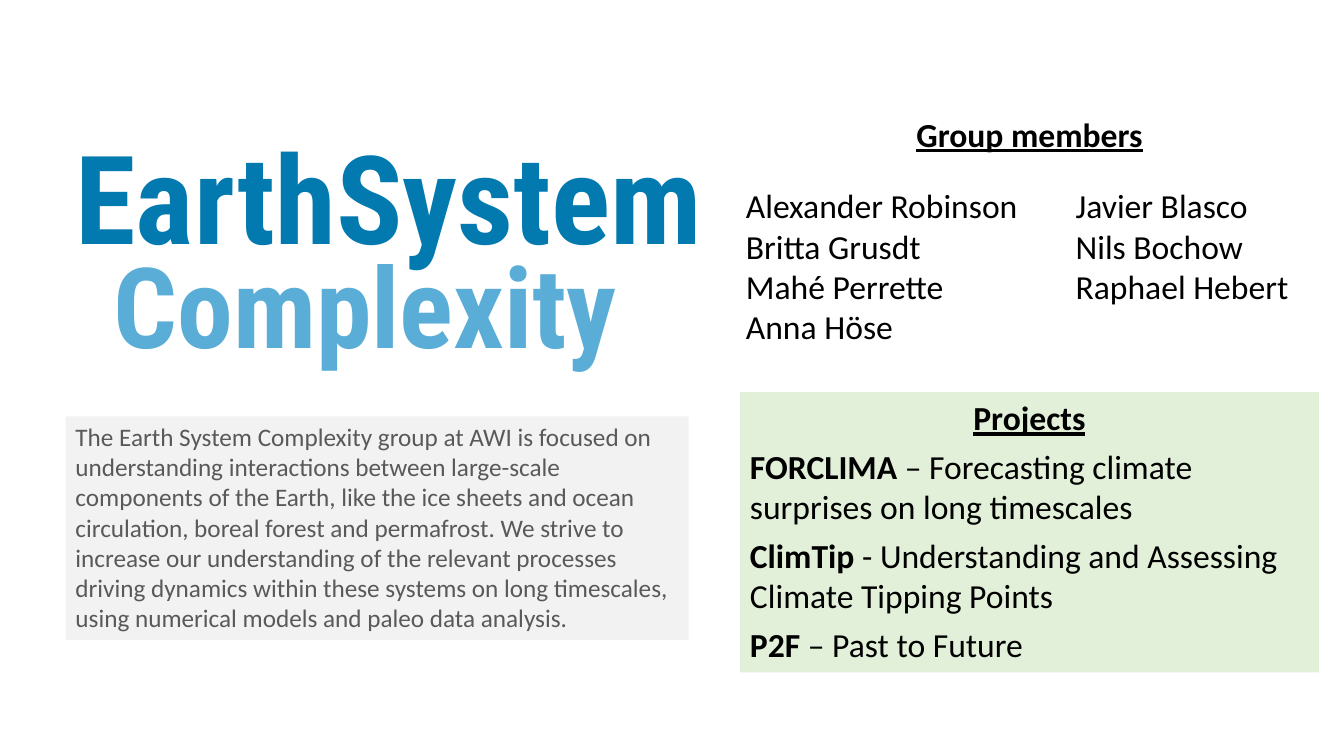
from pptx import Presentation
from pptx.dml.color import RGBColor
from pptx.enum.shapes import MSO_SHAPE as Shape
from pptx.enum.text import MSO_ANCHOR as Anchor, MSO_AUTO_SIZE as AutoSize, PP_ALIGN as Align
from pptx.util import Inches, Pt

BLACK = RGBColor(0x00, 0x00, 0x00)
GRAY = RGBColor(0x59, 0x59, 0x59)
PALE_GRAY = RGBColor(0xF2, 0xF2, 0xF2)
PALE_GREEN = RGBColor(0xE2, 0xF0, 0xD9)
DEEP_BLUE = RGBColor(0x02, 0x79, 0xAF)
SKY_BLUE = RGBColor(0x5A, 0xAD, 0xD7)

DESCRIPTION = (
    "The Earth System Complexity group at AWI is focused on understanding "
    "interactions between large-scale components of the Earth, like the ice "
    "sheets and ocean circulation, boreal forest and permafrost. We strive to "
    "increase our understanding of the relevant processes driving dynamics "
    "within these systems on long timescales, using numerical models and "
    "paleo data analysis."
)
MEMBER_COLUMNS = [
    ["Alexander Robinson", "Britta Grusdt", "Mahé Perrette", "Anna Höse"],
    ["Javier Blasco", "Nils Bochow", "Raphael Hebert"],
]
PROJECTS = [
    ("FORCLIMA", " – Forecasting climate surprises on long timescales"),
    ("ClimTip", " - Understanding and Assessing Climate Tipping Points"),
    ("P2F", " – Past to Future"),
]


def prepare_frame(box):
    frame = box.text_frame
    frame.word_wrap = True
    frame.auto_size = AutoSize.NONE
    frame.vertical_anchor = Anchor.TOP
    return frame


def add_text_box(page, left, top, width, height):
    box = page.shapes.add_textbox(Inches(left), Inches(top), Inches(width), Inches(height))
    return prepare_frame(box)


def add_panel(page, left, top, width, height, fill):
    panel = page.shapes.add_shape(
        Shape.RECTANGLE, Inches(left), Inches(top), Inches(width), Inches(height))
    panel.shadow.inherit = False
    panel.fill.solid()
    panel.fill.fore_color.rgb = fill
    panel.line.fill.background()
    return prepare_frame(panel)


def add_span(para, text, size=24, color=BLACK, font="Calibri", bold=False, underline=False):
    span = para.add_run()
    span.text = text
    span.font.name = font
    span.font.size = Pt(size)
    span.font.color.rgb = color
    span.font.bold = bold
    span.font.underline = underline


def add_heading(para, text):
    para.alignment = Align.CENTER
    para.space_after = Pt(6)
    add_span(para, text, bold=True, underline=True)


def add_wordmark(page, left, top):
    title = page.shapes.title
    title.left, title.top = Inches(left), Inches(top)
    title.width, title.height = Inches(6.65), Inches(1.58)
    lower = add_text_box(page, left + 0.38, top + 1.15, 5.83, 1.45)
    for frame, text, size, color in [
        (prepare_frame(title), "EarthSystem", 88, DEEP_BLUE),
        (lower, "Complexity", 80, SKY_BLUE),
    ]:
        para = frame.paragraphs[0]
        para.alignment = Align.LEFT
        add_span(para, text, size, color, "Roboto Condensed", bold=True)


def add_description(page, left, top, width, height):
    para = add_panel(page, left, top, width, height, PALE_GRAY).paragraphs[0]
    para.alignment = Align.LEFT
    add_span(para, DESCRIPTION, 18, GRAY)


def add_members(page, left, top, width):
    heading = add_text_box(page, left + 1.15, top, 3.52, 0.5)
    add_heading(heading.paragraphs[0], "Group members")
    column_step = 3.27
    for index, names in enumerate(MEMBER_COLUMNS):
        offset = index * column_step
        column_width = min(column_step, width - offset)
        frame = add_text_box(page, left + offset, top + 0.71, column_width, 1.7)
        for row, name in enumerate(names):
            para = frame.add_paragraph() if row else frame.paragraphs[0]
            add_span(para, name)


def add_projects(page, left, top, width, height):
    frame = add_panel(page, left, top, width, height, PALE_GREEN)
    add_heading(frame.paragraphs[0], "Projects")
    for name, meaning in PROJECTS:
        para = frame.add_paragraph()
        para.alignment = Align.LEFT
        para.space_after = Pt(6)
        add_span(para, name, bold=True)
        add_span(para, meaning)


def main():
    deck = Presentation()
    deck.slide_width, deck.slide_height = Inches(13.33), Inches(7.5)
    page = deck.slides.add_slide(deck.slide_layouts[5])
    add_wordmark(page, 0.65, 1.15)
    add_description(page, 0.65, 4.13, 6.18, 2.22)
    add_members(page, 7.3, 1.08, 5.83)
    add_projects(page, 7.34, 3.89, 5.74, 2.78)
    deck.save("out.pptx")


if __name__ == "__main__":
    main()
